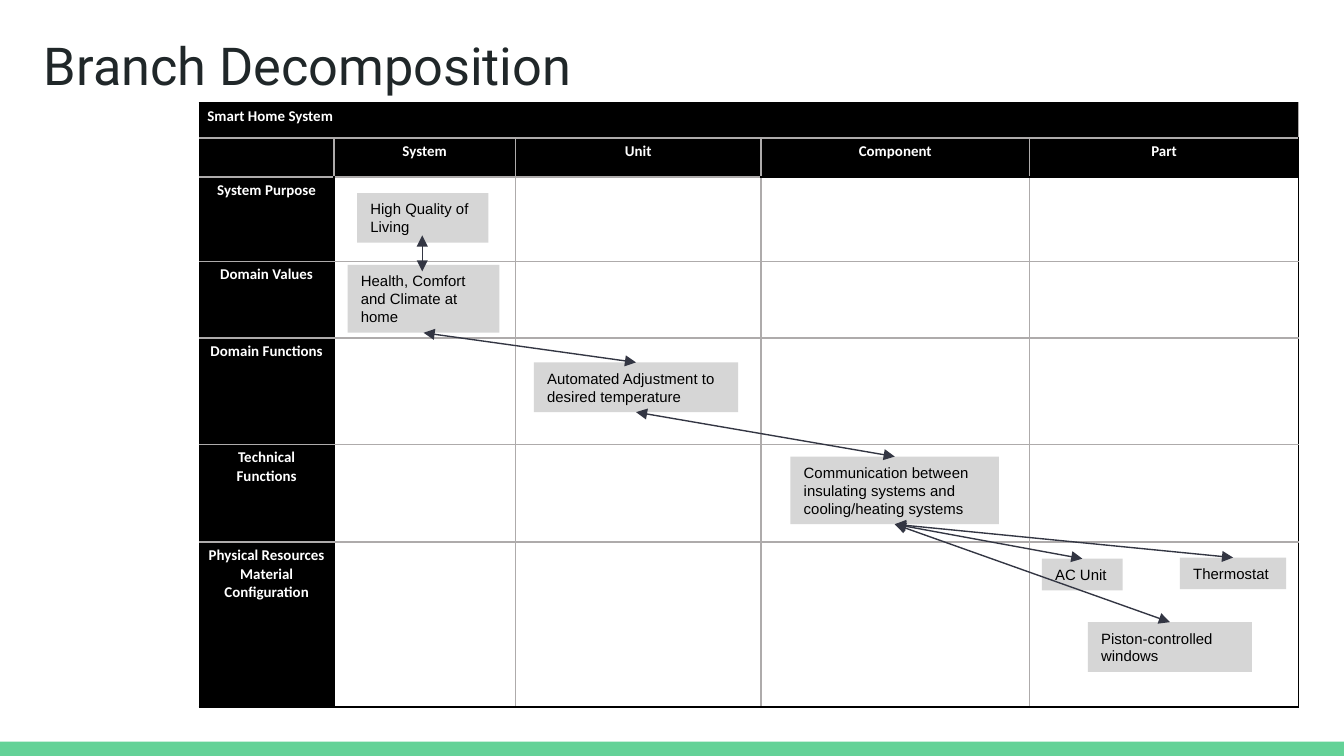
from lxml.etree import SubElement
from pptx import Presentation
from pptx.dml.color import RGBColor
from pptx.enum.shapes import MSO_CONNECTOR, MSO_SHAPE
from pptx.enum.text import MSO_ANCHOR, MSO_AUTO_SIZE as AUTO, PP_ALIGN
from pptx.oxml import parse_xml
from pptx.oxml.ns import nsdecls, qn
from pptx.util import Cm, Pt

BLACK = RGBColor(0x00, 0x00, 0x00)
WHITE = RGBColor(0xFF, 0xFF, 0xFF)
GRID = RGBColor(0xAE, 0xAB, 0xAB)
BOX = RGBColor(0xD6, 0xD6, 0xD6)
ARROW = RGBColor(0x33, 0x36, 0x43)
GREEN = RGBColor(0x63, 0xD2, 0x97)
TITLE = RGBColor(0x20, 0x27, 0x29)


def write(tf, text, font="Arial", size=8, color=BLACK, bold=False, align=PP_ALIGN.LEFT):
    p = tf.paragraphs[0]
    p.alignment = align
    r = p.add_run()
    r.text = text
    r.font.name, r.font.size, r.font.bold = font, Pt(size), bold
    r.font.color.rgb = color


def add_rect(x, y, w, h, color):
    s = shapes.add_shape(MSO_SHAPE.RECTANGLE, Cm(x), Cm(y), Cm(w), Cm(h))
    s.shadow.inherit = False
    s.fill.solid()
    s.fill.fore_color.rgb = color
    s.line.fill.background()
    return s


prs = Presentation()
prs.slide_width, prs.slide_height = Cm(25.4), Cm(14.29)
slide = prs.slides.add_slide(prs.slide_layouts[5])
shapes = slide.shapes

add_rect(0, 14.02, 25.4, 0.27, GREEN)

title = shapes.title
title.left, title.top, title.width, title.height = Cm(0.58), Cm(0.38), Cm(23.67), Cm(1.6)
tf = title.text_frame
tf.auto_size, tf.vertical_anchor, tf.word_wrap = AUTO.NONE, MSO_ANCHOR.TOP, True
tf.margin_left = tf.margin_right = tf.margin_top = tf.margin_bottom = Cm(0.25)
write(tf, "Branch Decomposition", font="Roboto", size=28, color=TITLE)

# Table: two header rows, one header column, empty body
col_widths = [2.54, 3.43, 4.64, 5.08, 5.08]
row_heights = [0.66, 0.74, 1.59, 1.45, 2.01, 1.85, 3.12]
col_heads = ["", "System", "Unit", "Component", "Part"]
row_heads = ["Smart Home System", "", "System Purpose", "Domain Values", "Domain Functions",
             "Technical Functions", "Physical Resources Material Configuration"]
n_rows, n_cols = len(row_heights), len(col_widths)
table = shapes.add_table(n_rows, n_cols, Cm(3.77), Cm(1.95),
                         Cm(sum(col_widths)), Cm(sum(row_heights))).table
for col, width in zip(table.columns, col_widths):
    col.width = Cm(width)
for row, height in zip(table.rows, row_heights):
    row.height = Cm(height)
table.cell(0, 0).merge(table.cell(0, n_cols - 1))

for i in range(n_rows):
    for j in range(n_cols):
        cell = table.cell(i, j)
        cell.margin_left = cell.margin_right = Cm(0.15)
        cell.margin_top = cell.margin_bottom = Cm(0.08)
        text = col_heads[j] if i == 1 else row_heads[i] if j == 0 else ""
        if text:
            write(cell.text_frame, text, font="Calibri", color=WHITE, bold=True,
                  align=PP_ALIGN.CENTER if i else PP_ALIGN.LEFT)
        else:
            SubElement(cell.text_frame.paragraphs[0]._p, qn("a:endParaRPr"), sz="800")
        black_edges = {
            "lnL": j == 0 or (j == 1 and i > 1),
            "lnR": j == n_cols - 1 or (j == 0 and i > 1),
            "lnT": i == 0 or (i == 2 and j > 2),
            "lnB": i == n_rows - 1 or (i == 1 and j > 2),
        }
        for edge, is_black in black_edges.items():
            cell._tc.get_or_add_tcPr().append(parse_xml(
                f'<a:{edge} {nsdecls("a")} w="12700"><a:solidFill>'
                f'<a:srgbClr val="{BLACK if is_black else GRID}"/></a:solidFill></a:{edge}>'))
        cell.fill.solid()
        cell.fill.fore_color.rgb = BLACK if i < 2 or j == 0 else WHITE

# Decomposition boxes
box_specs = {
    "purpose": ("High Quality of Living", 6.75, 3.65, 2.48, 0.94),
    "value": ("Health, Comfort and Climate at home", 6.57, 5.01, 2.87, 1.28),
    "function": ("Automated Adjustment to desired temperature", 10.09, 6.85, 3.86, 0.94),
    "technical": ("Communication between insulating systems and cooling/heating systems",
                  14.94, 8.63, 3.94, 1.28),
    "ac": ("AC Unit", 19.69, 10.56, 1.53, 0.6),
    "thermostat": ("Thermostat", 22.3, 10.54, 2.01, 0.6),
    "windows": ("Piston-controlled windows", 20.56, 11.76, 3.1, 0.94),
}
boxes = {}
for name, (text, *place) in box_specs.items():
    sp = boxes[name] = add_rect(*place, BOX)
    tf = sp.text_frame
    tf.word_wrap, tf.auto_size = True, AUTO.SHAPE_TO_FIT_TEXT
    write(tf, text)

# Double-headed arrows; the first one overlaps its boxes, so it stays free
links = [("purpose", "value"), ("value", "function"), ("function", "technical"),
         ("technical", "ac"), ("technical", "windows"), ("technical", "thermostat")]
for upper, lower in links:
    c = shapes.add_connector(MSO_CONNECTOR.STRAIGHT, Cm(7.98), Cm(4.45), Cm(7.98), Cm(5.13))
    if upper != "purpose":
        c.begin_connect(boxes[upper], 2)
        c.end_connect(boxes[lower], 0)
    c.line.color.rgb = ARROW
    c.line.width = Pt(0.75)
    ln = c.line._get_or_add_ln()
    for end in ("a:headEnd", "a:tailEnd"):
        SubElement(ln, qn(end), type="triangle", w="med", len="med")
    SubElement(c._element.spPr, qn("a:effectLst"))

prs.save("out.pptx")
